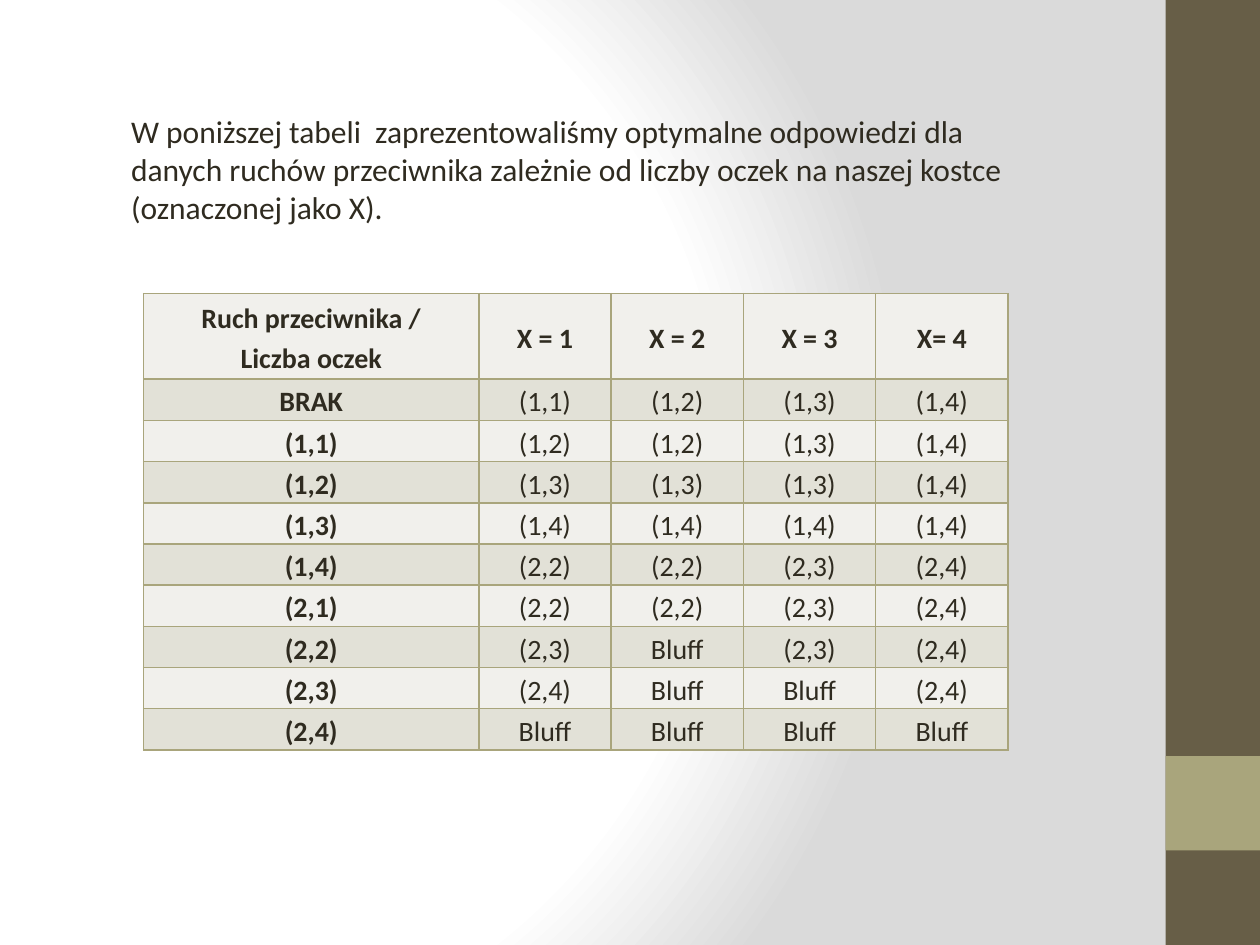
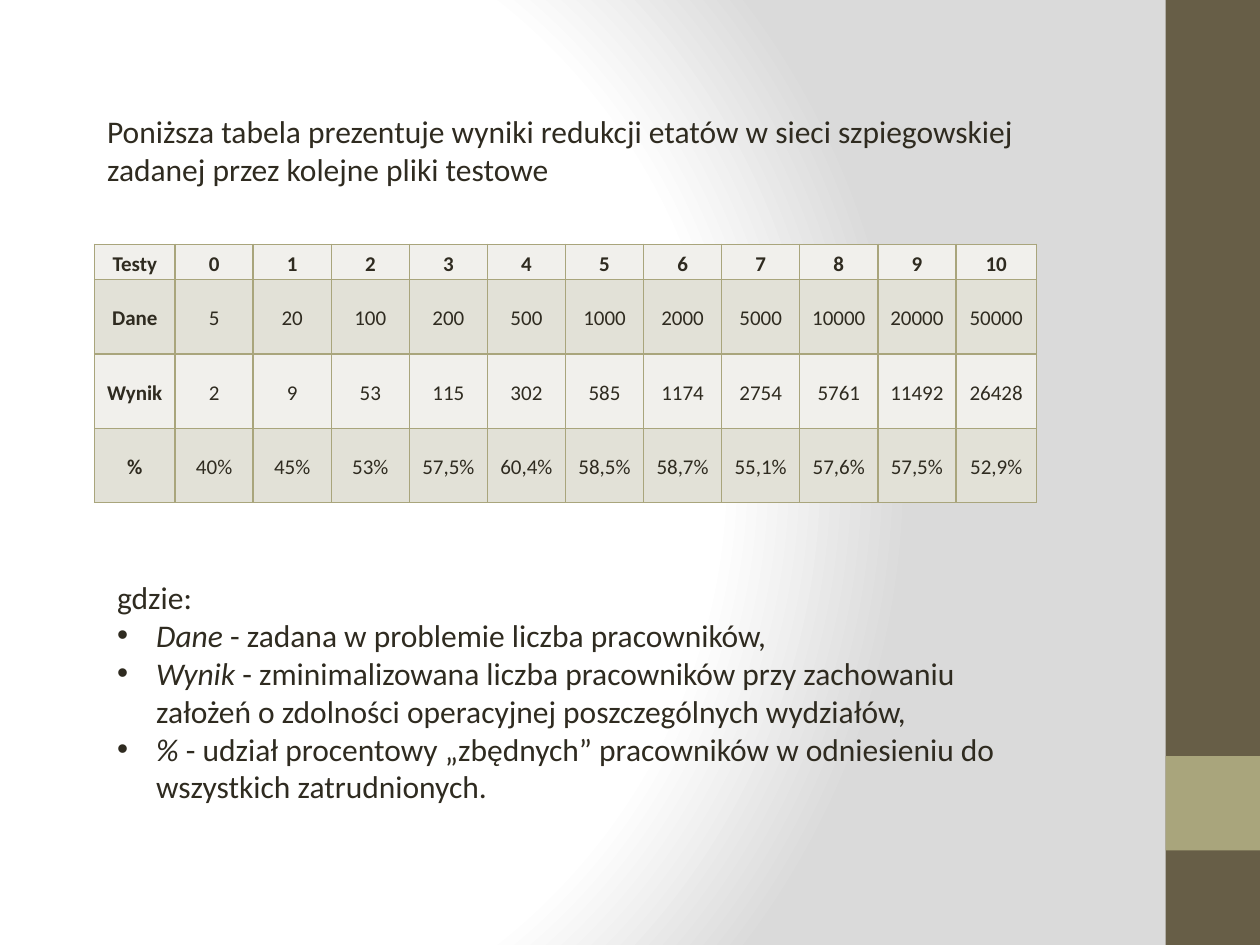
import dataclasses

import pptx
import pptx.dml.color
import pptx.enum.shapes
import pptx.enum.text
import pptx.oxml
import pptx.oxml.ns
import pptx.presentation
import pptx.shapes.base
import pptx.slide
import pptx.table
import pptx.text.text
import pptx.util

Inches = pptx.util.Inches
FONT = "Calibri"
INK = "2F2B20"
OLIVE = "675E47"
SAGE = "A9A57C"
ROW_FILLS = ("F1F0EC", "E2E1D7")
NAMESPACE = pptx.oxml.ns.nsdecls("a")
INDENT = 0.31


@dataclasses.dataclass(frozen=True)
class Area:
    left: float
    top: float
    width: float
    height: float

    def lengths(self) -> tuple[int, ...]:
        return tuple(Inches(value) for value in dataclasses.astuple(self))


@dataclasses.dataclass(frozen=True)
class Band:
    area: Area
    color: str


@dataclasses.dataclass(frozen=True)
class Grid:
    left: float
    top: float
    columns: list[float]
    rows: list[float]
    size: int
    cells: list[list[str]]


@dataclasses.dataclass(frozen=True)
class Term:
    name: str
    meaning: str


BANDS = (
    Band(Area(9.25, 0, 0.75, 7.5), OLIVE),
    Band(Area(9.25, 6, 0.75, 0.75), SAGE),
)

ANSWERS = Grid(
    left=1.14,
    top=2.33,
    columns=[2.66] + [1.05] * 4,
    rows=[0.68] + [0.327] * 9,
    size=16,
    cells=[
        ["Ruch przeciwnika /\vLiczba oczek", "X = 1", "X = 2", "X = 3", "X= 4"],
        ["BRAK", "(1,1)", "(1,2)", "(1,3)", "(1,4)"],
        ["(1,1)", "(1,2)", "(1,2)", "(1,3)", "(1,4)"],
        ["(1,2)", "(1,3)", "(1,3)", "(1,3)", "(1,4)"],
        ["(1,3)", "(1,4)", "(1,4)", "(1,4)", "(1,4)"],
        ["(1,4)", "(2,2)", "(2,2)", "(2,3)", "(2,4)"],
        ["(2,1)", "(2,2)", "(2,2)", "(2,3)", "(2,4)"],
        ["(2,2)", "(2,3)", "Bluff", "(2,3)", "(2,4)"],
        ["(2,3)", "(2,4)", "Bluff", "Bluff", "(2,4)"],
        ["(2,4)", "Bluff", "Bluff", "Bluff", "Bluff"],
    ],
)

RESULTS = Grid(
    left=0.75,
    top=1.94,
    columns=[0.64] + [0.62] * 10 + [0.64],
    rows=[0.28] + [0.59] * 3,
    size=12,
    cells=[
        ["Testy"] + [str(number) for number in range(11)],
        ["Dane", "5", "20", "100", "200", "500", "1000", "2000", "5000",
         "10000", "20000", "50000"],
        ["Wynik", "2", "9", "53", "115", "302", "585", "1174", "2754",
         "5761", "11492", "26428"],
        ["%", "40%", "45%", "53%", "57,5%", "60,4%", "58,5%", "58,7%", "55,1%",
         "57,6%", "57,5%", "52,9%"],
    ],
)

TERMS = (
    Term("Dane", " - zadana w problemie liczba pracowników,"),
    Term("Wynik", " - zminimalizowana liczba pracowników przy zachowaniu założeń "
                  "o zdolności operacyjnej poszczególnych wydziałów,"),
    Term("%", " - udział procentowy „zbędnych” pracowników w odniesieniu do "
              "wszystkich zatrudnionych."),
)


def rgb(color: str) -> pptx.dml.color.RGBColor:
    return pptx.dml.color.RGBColor.from_string(color)


def style_paragraph(para: pptx.text.text._Paragraph, size: int, bold: bool = False) -> None:
    para.font.name = FONT
    para.font.size = pptx.util.Pt(size)
    para.font.bold = bold
    para.font.color.rgb = rgb(INK)


def paint_background(master: pptx.slide.SlideMaster) -> None:
    master.background.fill.solid()
    properties = master.element.find(".//" + pptx.oxml.ns.qn("p:bgPr"))
    stops = "".join(
        f'<a:gs pos="{position}"><a:srgbClr val="{color}"/></a:gs>'
        for position, color in ((0, "FFFFFF"), (75000, "FFFFFF"), (100000, "DADADA"))
    )
    properties[0] = pptx.oxml.parse_xml(
        f'<a:gradFill {NAMESPACE} rotWithShape="1"><a:gsLst>{stops}</a:gsLst>'
        '<a:path path="circle"><a:fillToRect l="20000" t="50000" r="100000" b="50000"/>'
        "</a:path></a:gradFill>"
    )


def move_bands_to_master(slide: pptx.slide.Slide, master: pptx.slide.SlideMaster) -> None:
    for band in BANDS:
        box = slide.shapes.add_shape(
            pptx.enum.shapes.MSO_SHAPE.RECTANGLE, *band.area.lengths())
        box.shadow.inherit = False
        box.fill.solid()
        box.fill.fore_color.rgb = rgb(band.color)
        box.line.fill.background()
        master.shapes.element.append(box.element)


def place_text(box: pptx.shapes.base.BaseShape, area: Area) -> pptx.text.text.TextFrame:
    box.left, box.top, box.width, box.height = area.lengths()
    frame = box.text_frame
    frame.word_wrap = True
    frame.auto_size = pptx.enum.text.MSO_AUTO_SIZE.SHAPE_TO_FIT_TEXT
    frame.vertical_anchor = pptx.enum.text.MSO_ANCHOR.TOP
    return frame


def write_intro(slide: pptx.slide.Slide, area: Area, text: str) -> None:
    frame = place_text(slide.shapes.title, area)
    frame.text = text
    para = frame.paragraphs[0]
    para.alignment = pptx.enum.text.PP_ALIGN.LEFT
    style_paragraph(para, 18)


def set_bullet(para: pptx.text.text._Paragraph, bulleted: bool) -> None:
    properties = para._p.get_or_add_pPr()
    indent = Inches(INDENT) if bulleted else 0
    properties.set("marL", str(indent))
    properties.set("indent", str(-indent))
    if bulleted:
        properties.append(pptx.oxml.parse_xml(f'<a:buFont {NAMESPACE} typeface="Arial"/>'))
        properties.append(pptx.oxml.parse_xml(f'<a:buChar {NAMESPACE} char="•"/>'))
    else:
        properties.append(pptx.oxml.parse_xml(f"<a:buNone {NAMESPACE}/>"))


def write_terms(slide: pptx.slide.Slide, area: Area, heading: str,
                terms: tuple[Term, ...]) -> None:
    frame = place_text(slide.placeholders[1], area)
    frame.text = heading
    set_bullet(frame.paragraphs[0], False)
    for term in terms:
        para = frame.add_paragraph()
        set_bullet(para, True)
        span = para.add_run()
        span.text = term.name
        span.font.italic = True
        para.add_run().text = term.meaning
    for para in frame.paragraphs:
        para.space_before = pptx.util.Pt(0)
        style_paragraph(para, 18)


def add_borders(cell: pptx.table._Cell) -> None:
    properties = cell._tc.get_or_add_tcPr()
    for index, side in enumerate(("lnL", "lnR", "lnT", "lnB")):
        properties.insert(index, pptx.oxml.parse_xml(
            f'<a:{side} {NAMESPACE} w="{pptx.util.Pt(1)}"><a:solidFill>'
            f'<a:srgbClr val="{SAGE}"/></a:solidFill></a:{side}>'))


def fill_cell(cell: pptx.table._Cell, text: str, size: int, bold: bool, color: str) -> None:
    cell.text = text
    cell.vertical_anchor = pptx.enum.text.MSO_ANCHOR.MIDDLE
    cell.margin_left = cell.margin_right = Inches(0.07)
    cell.margin_top = cell.margin_bottom = 0
    cell.fill.solid()
    cell.fill.fore_color.rgb = rgb(color)
    add_borders(cell)
    para = cell.text_frame.paragraphs[0]
    para.alignment = pptx.enum.text.PP_ALIGN.CENTER
    para.line_spacing = 1.15
    style_paragraph(para, size, bold)


def draw_grid(slide: pptx.slide.Slide, grid: Grid) -> None:
    area = Area(grid.left, grid.top, sum(grid.columns), sum(grid.rows))
    table = slide.shapes.add_table(
        len(grid.rows), len(grid.columns), *area.lengths()).table
    table.first_row = table.horz_banding = False
    for column, width in zip(table.columns, grid.columns):
        column.width = Inches(width)
    for row, height in zip(table.rows, grid.rows):
        row.height = Inches(height)
    for row_index, texts in enumerate(grid.cells):
        for column_index, text in enumerate(texts):
            fill_cell(table.cell(row_index, column_index), text, grid.size,
                      row_index == 0 or column_index == 0, ROW_FILLS[row_index % 2])


def build_answers_slide(deck: pptx.presentation.Presentation) -> pptx.slide.Slide:
    slide = deck.slides.add_slide(deck.slide_layouts.get_by_name("Title Only"))
    write_intro(slide, Area(0.94, 0.84, 7.56, 1.01),
                "W poniższej tabeli  zaprezentowaliśmy optymalne odpowiedzi dla danych "
                "ruchów przeciwnika zależnie od liczby oczek na naszej kostce "
                "(oznaczonej jako X).")
    draw_grid(slide, ANSWERS)
    return slide


def build_results_slide(deck: pptx.presentation.Presentation) -> None:
    slide = deck.slides.add_slide(deck.slide_layouts.get_by_name("Title and Content"))
    write_intro(slide, Area(0.75, 0.84, 7.87, 0.71),
                "Poniższa tabela prezentuje wyniki redukcji etatów w sieci szpiegowskiej "
                "zadanej przez kolejne pliki testowe")
    draw_grid(slide, RESULTS)
    write_terms(slide, Area(0.83, 4.54, 7.57, 1.92), "gdzie:", TERMS)


def main() -> None:
    deck = pptx.Presentation()
    deck.slide_width = Inches(10)
    deck.slide_height = Inches(7.5)
    paint_background(deck.slide_master)
    answers_slide = build_answers_slide(deck)
    move_bands_to_master(answers_slide, deck.slide_master)
    build_results_slide(deck)
    deck.save("out.pptx")


main()
